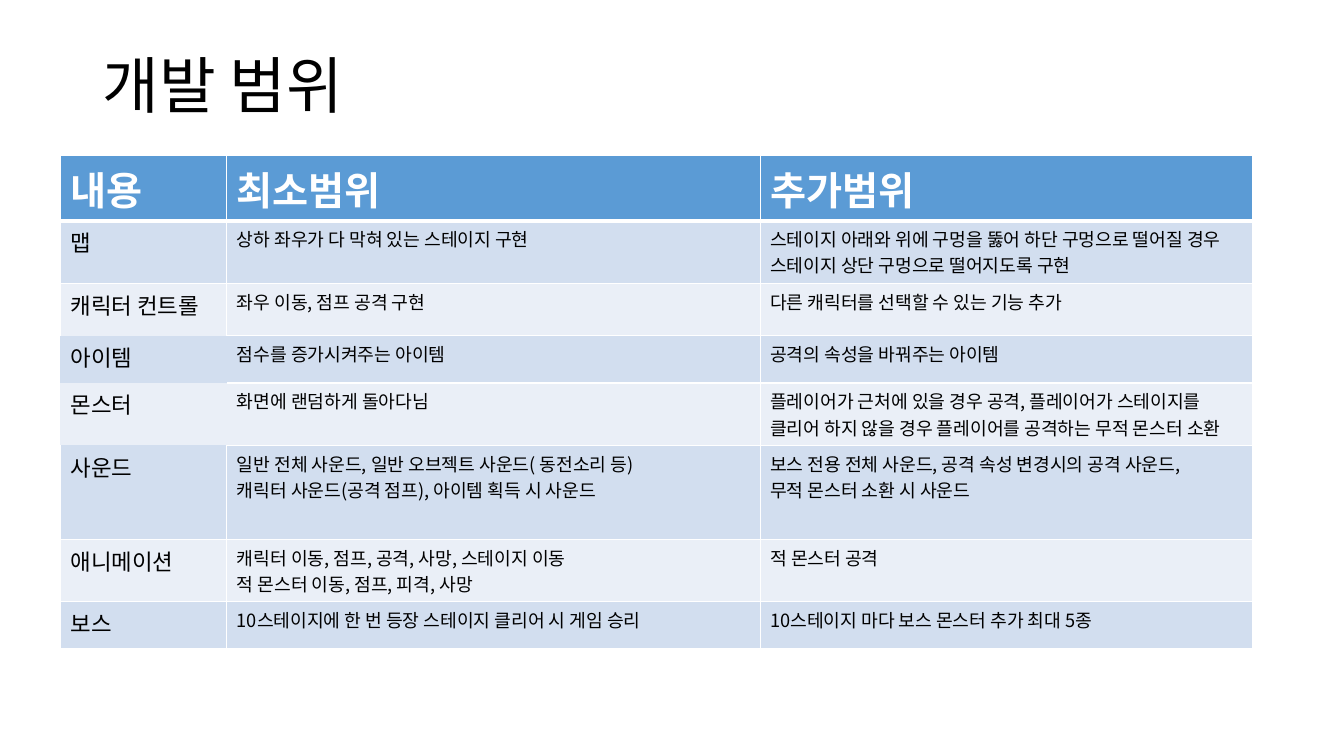
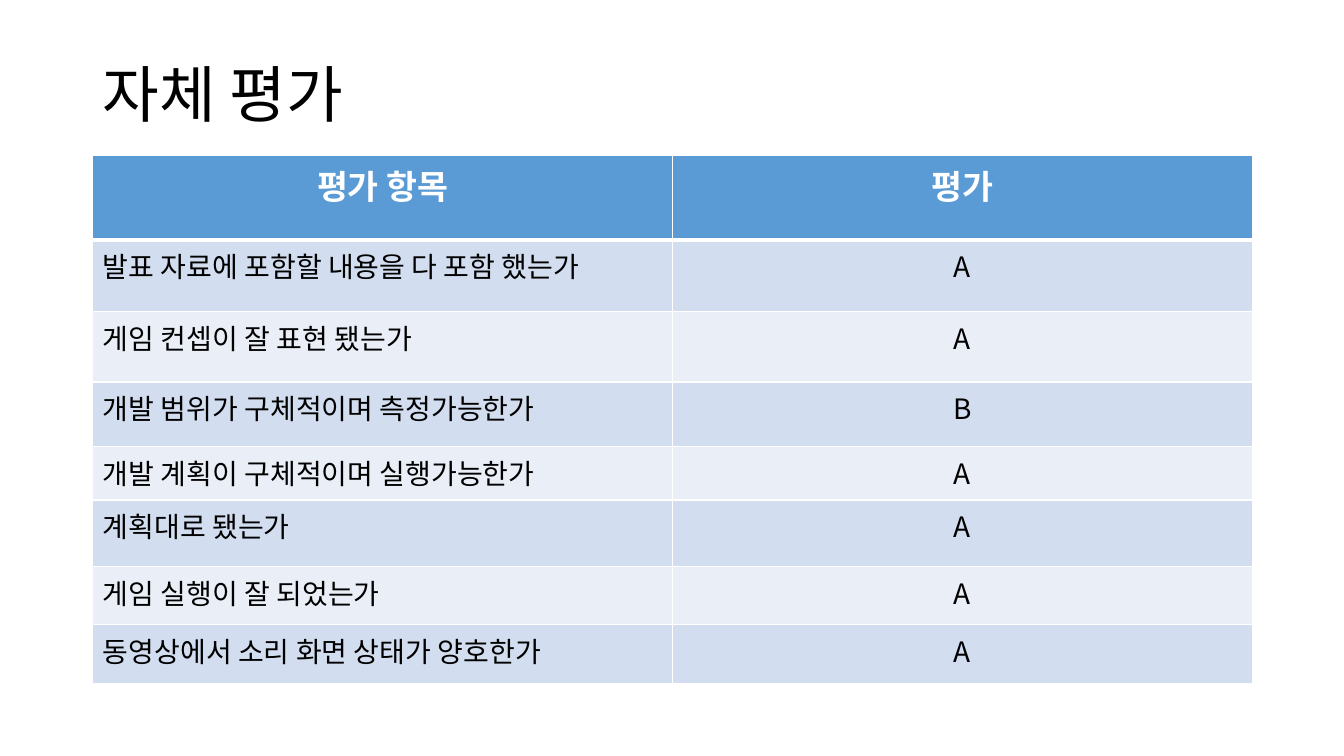
"""Build two slides: development scope and self evaluation."""
from dataclasses import dataclass
from typing import Any

import lxml.etree
import pptx
import pptx.dml.color
import pptx.enum.text
import pptx.oxml.ns
import pptx.util

Inches = pptx.util.Inches
RGBColor = pptx.dml.color.RGBColor
Align = pptx.enum.text.PP_ALIGN
qn = pptx.oxml.ns.qn

FONT = "Noto Sans CJK KR"
BLACK = RGBColor(0x00, 0x00, 0x00)
WHITE = RGBColor(0xFF, 0xFF, 0xFF)
HEADER_BLUE = RGBColor(0x5B, 0x9B, 0xD5)
BANDS = (RGBColor(0xD2, 0xDE, 0xEF), RGBColor(0xEA, 0xEF, 0xF7))

TITLE_LEFT, TITLE_TOP, TITLE_WIDTH = 0.92, 0.4, 11.5
TABLE_TOP = 1.54
THIN, THICK = 1, 3
# Each side: XML tag, row step and column step to the neighbouring cell
SIDES = (("a:lnL", 0, -1), ("a:lnR", 0, 1), ("a:lnT", -1, 0), ("a:lnB", 1, 0))


@dataclass(frozen=True)
class Column:
    """A table column: its width and the style of its body text."""
    heading: str
    width: float
    size: float
    align: Any = Align.LEFT


@dataclass(frozen=True)
class Row:
    """A body row; newlines in a text start a new paragraph."""
    height: float
    texts: tuple[str, ...]
    borderless_label: bool = False


@dataclass(frozen=True)
class Page:
    """One slide: a title above a banded table."""
    title: str
    title_height: float
    table_left: float
    header_height: float
    header_size: float
    header_align: Any
    columns: tuple[Column, ...]
    rows: tuple[Row, ...]


SCOPE = Page(
    "개발 범위", 0.95, 0.6, 0.65, 28, Align.LEFT,
    (Column("내용", 1.65, 16), Column("최소범위", 5.29, 13), Column("추가범위", 4.88, 13)),
    (
        Row(0.62, ("맵", "상하 좌우가 다 막혀 있는 스테이지 구현",
                   "스테이지 아래와 위에 구멍을 뚫어 하단 구멍으로 떨어질 경우 "
                   "스테이지 상단 구멍으로 떨어지도록 구현")),
        Row(0.52, ("캐릭터 컨트롤", "좌우 이동, 점프 공격 구현",
                   "다른 캐릭터를 선택할 수 있는 기능 추가")),
        Row(0.47, ("아이템", "점수를 증가시켜주는 아이템",
                   "공격의 속성을 바꿔주는 아이템"), True),
        Row(0.62, ("몬스터", "화면에 랜덤하게 돌아다님",
                   "플레이어가 근처에 있을 경우 공격, 플레이어가 스테이지를 "
                   "클리어 하지 않을 경우 플레이어를 공격하는 무적 몬스터 소환"), True),
        Row(0.93, ("사운드",
                   "일반 전체 사운드, 일반 오브젝트 사운드( 동전소리 등)\n"
                   "캐릭터 사운드(공격 점프), 아이템 획득 시 사운드",
                   "보스 전용 전체 사운드, 공격 속성 변경시의 공격 사운드,\n"
                   "무적 몬스터 소환 시 사운드")),
        Row(0.62, ("애니메이션",
                   "캐릭터 이동, 점프, 공격, 사망, 스테이지 이동\n"
                   "적 몬스터 이동, 점프, 피격, 사망",
                   "적 몬스터 공격")),
        Row(0.47, ("보스", "10스테이지에 한 번 등장 스테이지 클리어 시 게임 승리",
                   "10스테이지 마다 보스 몬스터 추가 최대 5종")),
    ),
)

EVALUATION = Page(
    "자체 평가", 1.14, 0.92, 0.84, 24, Align.CENTER,
    (Column("평가 항목", 5.75, 20), Column("평가", 5.75, 20, Align.CENTER)),
    (
        Row(0.71, ("발표 자료에 포함할 내용을 다 포함 했는가", "A")),
        Row(0.7, ("게임 컨셉이 잘 표현 됐는가", "A")),
        Row(0.64, ("개발 범위가 구체적이며 측정가능한가", "B")),
        Row(0.53, ("개발 계획이 구체적이며 실행가능한가", "A")),
        Row(0.66, ("계획대로 됐는가", "A")),
        Row(0.58, ("게임 실행이 잘 되었는가", "A")),
        Row(0.58, ("동영상에서 소리 화면 상태가 양호한가", "A")),
    ),
)


def write_text(frame: Any, text: str, size: float, color: RGBColor,
               align: Any = Align.LEFT, bold: bool = False) -> None:
    """Fill a text frame and style each paragraph."""
    frame.text = text
    for paragraph in frame.paragraphs:
        paragraph.alignment = align
        font = paragraph.font
        font.name, font.size, font.bold = FONT, pptx.util.Pt(size), bold
        font.color.rgb = color
        properties = paragraph._p.pPr.find(qn("a:defRPr"))
        lxml.etree.SubElement(properties, qn("a:ea")).set("typeface", FONT)


def add_title(slide: Any, page: Page) -> None:
    """Place the slide title, vertically centred."""
    title = slide.shapes.add_textbox(Inches(TITLE_LEFT), Inches(TITLE_TOP),
                                     Inches(TITLE_WIDTH), Inches(page.title_height))
    frame = title.text_frame
    frame.word_wrap = True
    frame.vertical_anchor = pptx.enum.text.MSO_ANCHOR.MIDDLE
    write_text(frame, page.title, 44, BLACK)
    frame.paragraphs[0].line_spacing = 0.9


def add_border(cell: Any, side: str, width: float) -> None:
    """Draw one white cell border; zero width hides it."""
    line = lxml.etree.SubElement(cell._tc.get_or_add_tcPr(), qn(side))
    line.set("w", str(pptx.util.Pt(width)))
    if width:
        fill = lxml.etree.SubElement(line, qn("a:solidFill"))
        lxml.etree.SubElement(fill, qn("a:srgbClr")).set("val", str(WHITE))
    else:
        lxml.etree.SubElement(line, qn("a:noFill"))


def add_borders(cell: Any, row: int, column: int, borderless: set[tuple[int, int]]) -> None:
    """Draw all borders of a cell, thick between header and body."""
    for side, row_step, column_step in SIDES:
        neighbour = (row + row_step, column + column_step)
        if borderless & {(row, column), neighbour}:
            width = 0
        elif {row, neighbour[0]} == {0, 1}:
            width = THICK
        else:
            width = THIN
        add_border(cell, side, width)


def add_banded_table(slide: Any, page: Page) -> None:
    """Draw the header and the banded body rows."""
    heights = [page.header_height] + [row.height for row in page.rows]
    widths = [column.width for column in page.columns]
    table = slide.shapes.add_table(
        len(heights), len(widths), Inches(page.table_left), Inches(TABLE_TOP),
        Inches(sum(widths)), Inches(sum(heights))).table
    for table_row, height in zip(table.rows, heights):
        table_row.height = Inches(height)
    borderless = {(number, 0) for number, row in enumerate(page.rows, 1)
                  if row.borderless_label}

    for c, column in enumerate(page.columns):
        table.columns[c].width = Inches(column.width)
        texts = [column.heading] + [row.texts[c] for row in page.rows]
        for r, text in enumerate(texts):
            cell = table.cell(r, c)
            add_borders(cell, r, c, borderless)
            cell.fill.solid()
            if r == 0:
                cell.fill.fore_color.rgb = HEADER_BLUE
                write_text(cell.text_frame, text, page.header_size, WHITE,
                           page.header_align, bold=True)
            else:
                cell.fill.fore_color.rgb = BANDS[(r - 1) % 2]
                write_text(cell.text_frame, text, column.size, BLACK, column.align)


def main() -> None:
    """Build and save the presentation."""
    presentation = pptx.Presentation()
    presentation.slide_width = Inches(13.33)
    presentation.slide_height = Inches(7.5)
    for page in (SCOPE, EVALUATION):
        slide = presentation.slides.add_slide(presentation.slide_layouts[6])
        add_title(slide, page)
        add_banded_table(slide, page)
    presentation.save("out.pptx")


main()
